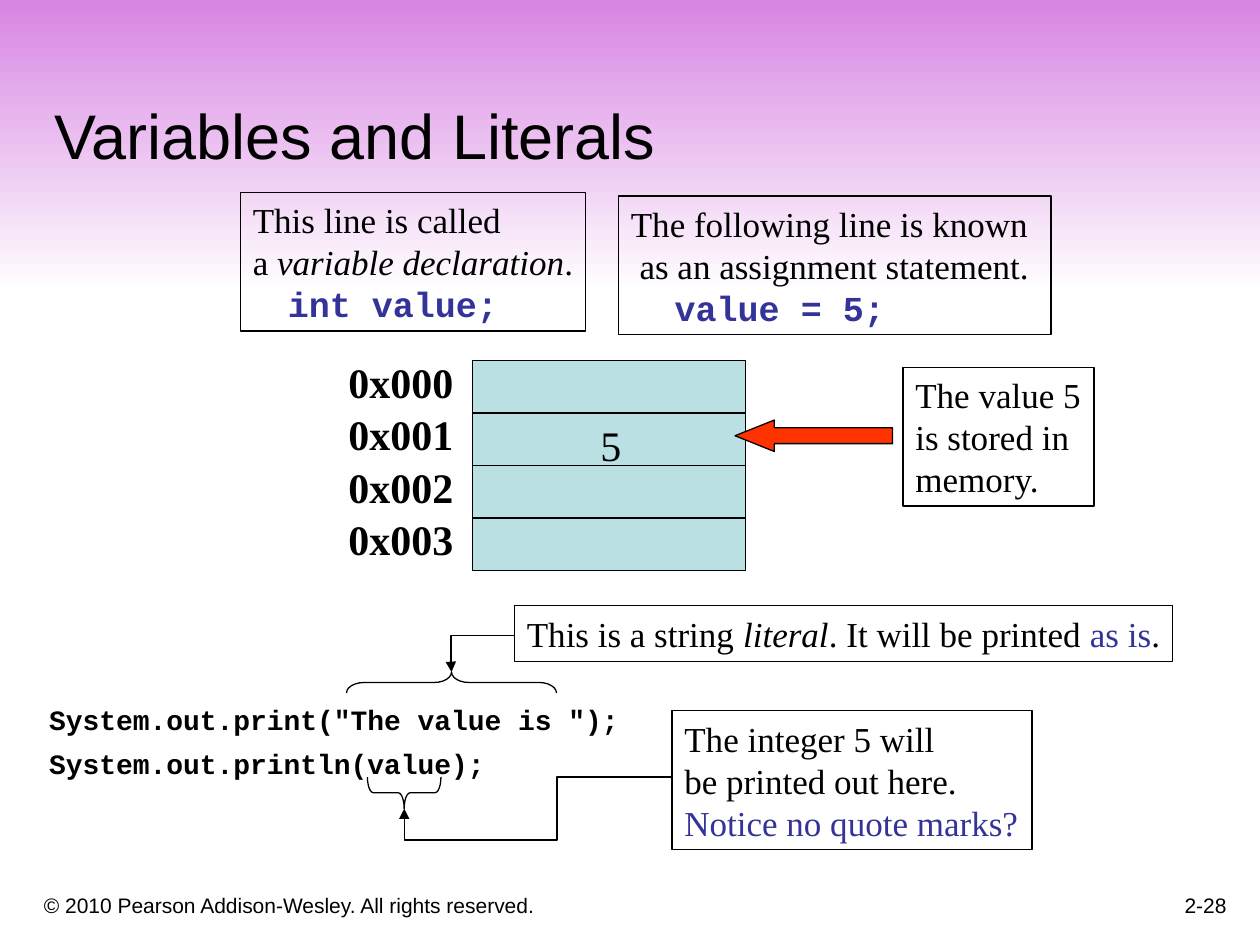
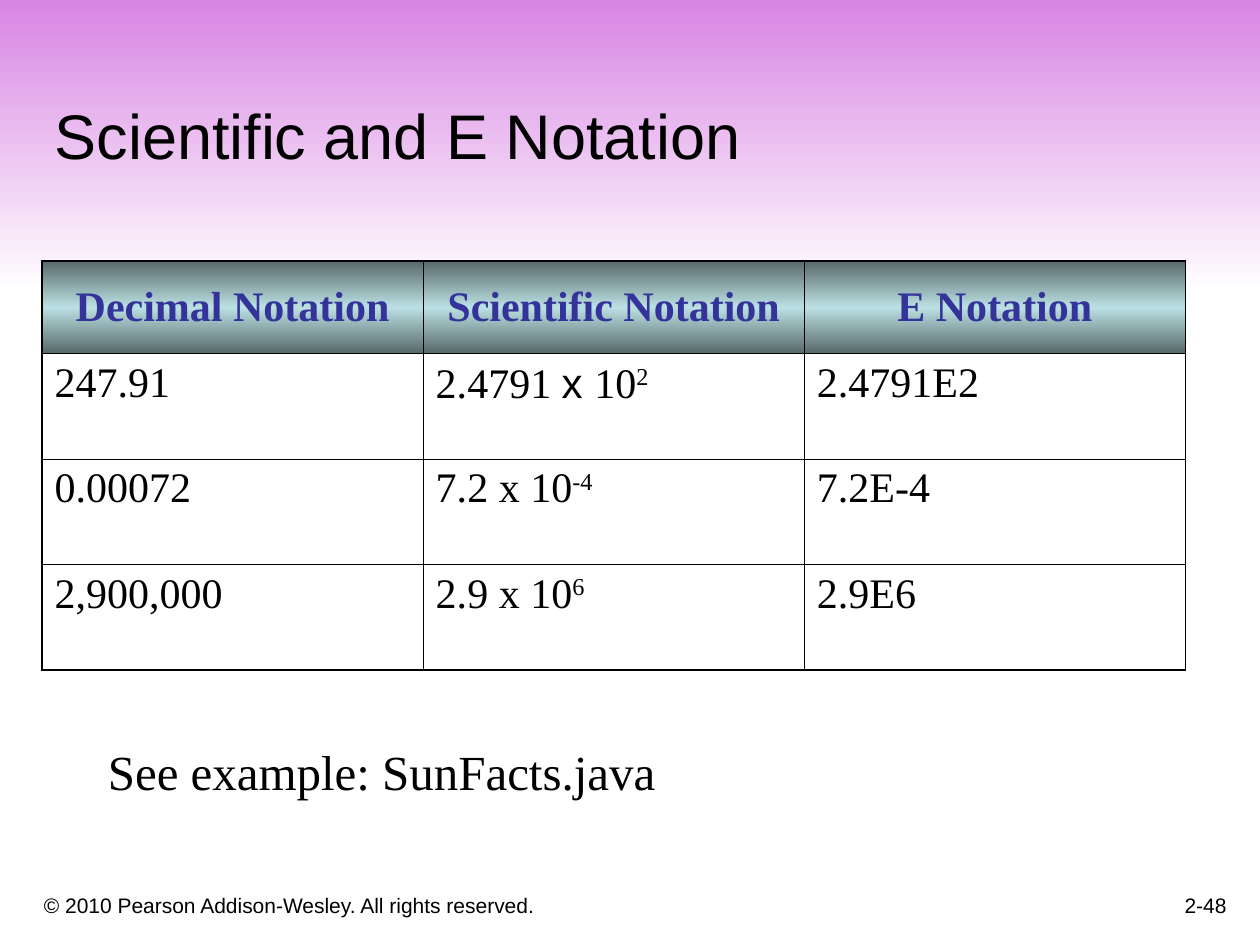
from dataclasses import dataclass

from lxml import etree
from pptx import Presentation
from pptx import util as u
from pptx.dml.color import RGBColor
from pptx.enum import shapes, text
from pptx.oxml.ns import qn


@dataclass(frozen=True)
class Theme:
    ink: str = "000000"
    accent: str = "333399"
    memory: str = "BBE0E3"
    memory_dark: str = "576869"
    arrow: str = "FF3300"
    band: str = "D885E3"
    paper: str = "FFFFFF"
    sans: str = "Arial"
    serif: str = "Times New Roman"
    mono: str = "Courier New"
    title: int = 36
    example: int = 28
    large: int = 24
    note: int = 20
    code: int = 16
    footer: int = 12
    thin: float = 0.45
    line: float = 0.75
    frame: float = 1.08


@dataclass(frozen=True)
class Line:
    """One paragraph: plain strings or (string, font changes) pairs."""
    runs: tuple
    indent: float = 0


THEME = Theme()
GRID_COLUMNS, GRID_ROWS = 120, 90
BLUE = {"color": THEME.accent}
BLUE_CODE = {"color": THEME.accent, "name": THEME.mono, "bold": True}
ITALIC = {"italic": True}
HEADING = {"color": THEME.accent, "bold": True}
RAISED = {"raised": True}
COPYRIGHT = "© 2010 Pearson Addison-Wesley. All rights reserved."


def set_font(font, name=None, size=None, color=None, bold=None, italic=None):
    if name:
        font.name = name
    if size:
        font.size = u.Pt(size)
    if color:
        font.color.rgb = RGBColor.from_string(color)
    if bold is not None:
        font.bold = bold
    if italic is not None:
        font.italic = italic


def set_gradient(fill, properties, colors):
    """Fill from top to bottom with evenly spaced colours."""
    fill.gradient()
    fill.gradient_angle = 270
    stops = properties.find(".//" + qn("a:gsLst"))
    for stop in list(stops):
        stops.remove(stop)
    for index, color in enumerate(colors):
        position = round(100000 * index / (len(colors) - 1))
        stop = etree.SubElement(stops, qn("a:gs"), pos=str(position))
        etree.SubElement(stop, qn("a:srgbClr"), val=color)


def set_borders(cell, widths):
    """Draw the left, right, top and bottom edges of a cell."""
    properties = cell._tc.get_or_add_tcPr()
    for index, (side, width) in enumerate(zip("LRTB", widths)):
        edge = etree.Element(qn("a:ln" + side), w=str(u.Pt(width)))
        solid = etree.SubElement(edge, qn("a:solidFill"))
        etree.SubElement(solid, qn("a:srgbClr"), val=THEME.ink)
        properties.insert(index, edge)


class Deck:
    def __init__(self, theme):
        self.theme = theme
        self.presentation = Presentation()
        self.presentation.slide_width = u.Inches(10)
        self.presentation.slide_height = u.Inches(7.5)
        self.slide = None

    def across(self, columns):
        return round(self.presentation.slide_width * columns / GRID_COLUMNS)

    def down(self, rows):
        return round(self.presentation.slide_height * rows / GRID_ROWS)

    def place(self, left, top, width, height):
        return (self.across(left), self.down(top),
                self.across(width), self.down(height))

    def new_slide(self, title, number):
        theme = self.theme
        layout = self.presentation.slide_layouts[5]
        self.slide = self.presentation.slides.add_slide(layout)
        band = self.shape(shapes.MSO_SHAPE.RECTANGLE, (0, 0, 120, 27.84))
        set_gradient(band.fill, band.element.spPr, (theme.band, theme.paper))
        band.line.fill.background()
        self.slide.shapes._spTree.insert(2, band.element)

        heading = self.slide.shapes.title
        heading.left, heading.top, heading.width, heading.height = self.place(
            4, 4, 113, 13)
        heading.text_frame.auto_size = text.MSO_AUTO_SIZE.NONE
        self.set_lines(heading.text_frame, [title], theme.title,
                       name=theme.sans, anchor=text.MSO_ANCHOR.BOTTOM)
        self.text_box((3, 83, 73, 5), [COPYRIGHT], theme.footer,
                      name=theme.sans, anchor=text.MSO_ANCHOR.BOTTOM)
        self.text_box((93, 82, 25, 6), [number], theme.footer,
                      name=theme.sans, align=text.PP_ALIGN.RIGHT,
                      anchor=text.MSO_ANCHOR.BOTTOM)

    def set_lines(self, frame, lines, size, name=None, bold=False,
                  align=text.PP_ALIGN.LEFT, anchor=text.MSO_ANCHOR.TOP):
        frame.word_wrap = True
        frame.vertical_anchor = anchor
        for index, line in enumerate(lines):
            paragraph = (frame.add_paragraph() if index
                         else frame.paragraphs[0])
            self.fill_paragraph(paragraph, line, size, name, bold, align)

    def fill_paragraph(self, paragraph, line, size, name=None, bold=False,
                       align=text.PP_ALIGN.LEFT):
        if isinstance(line, str):
            line = Line((line,))
        paragraph.alignment = align
        if line.indent:
            paragraph._p.get_or_add_pPr().set(
                "marL", str(self.across(line.indent)))
        set_font(paragraph.font, name or self.theme.serif, size,
                 self.theme.ink, bold)
        for part in line.runs:
            words, changes = (part, {}) if isinstance(part, str) else part
            run = paragraph.add_run()
            run.text = words
            if changes is RAISED:
                run.font._element.set("baseline", "30000")
            else:
                set_font(run.font, **changes)

    def text_box(self, box, lines, size, **options):
        shape = self.slide.shapes.add_textbox(*self.place(*box))
        self.set_lines(shape.text_frame, lines, size, **options)
        if options.get("align") != text.PP_ALIGN.RIGHT:
            shape.text_frame.margin_right = 0
        return shape

    def note(self, box, lines):
        """An outlined, unfilled text box."""
        shape = self.text_box(box, lines, self.theme.note)
        self.outline(shape.line)

    def outline(self, line):
        line.color.rgb = RGBColor.from_string(self.theme.ink)
        line.width = u.Pt(self.theme.line)

    def shape(self, kind, box, color=None, adjustments=(), rotation=0):
        shape = self.slide.shapes.add_shape(kind, *self.place(*box))
        shape.shadow.inherit = False
        shape.rotation = rotation
        for index, value in enumerate(adjustments):
            shape.adjustments[index] = value
        if color:
            shape.fill.solid()
            shape.fill.fore_color.rgb = RGBColor.from_string(color)
        else:
            shape.fill.background()
        self.outline(shape.line)
        return shape

    def elbow_arrow(self, start, end, bends):
        """Run leftwards from start, turning at the given shares."""
        connector = self.slide.shapes.add_connector(
            shapes.MSO_CONNECTOR.ELBOW, self.across(start[0]),
            self.down(start[1]), self.across(end[0]), self.down(end[1]))
        self.outline(connector.line)
        properties = connector.element.spPr
        transform = properties.find(qn("a:xfrm"))
        transform.attrib.clear()
        transform.set("rot", "10800000")
        transform.set("flipV", "1")
        geometry = properties.find(qn("a:prstGeom"))
        geometry.set("prst", f"bentConnector{len(bends) + 2}")
        guides = geometry.find(qn("a:avLst"))
        for index, share in enumerate(bends, 1):
            etree.SubElement(guides, qn("a:gd"), name=f"adj{index}",
                             fmla=f"val {round(share * 100000)}")
        etree.SubElement(properties.find(qn("a:ln")), qn("a:tailEnd"),
                         type="triangle")
        etree.SubElement(properties, qn("a:effectLst"))

    def table(self, box, rows, heights):
        theme = self.theme
        last_row, last_column = len(rows) - 1, len(rows[0]) - 1
        table = self.slide.shapes.add_table(
            len(rows), len(rows[0]), *self.place(*box)).table
        table.first_row = table.horz_banding = False
        for column in table.columns:
            column.width = self.across(box[2] / len(rows[0]))
        for row, height in zip(table.rows, heights):
            row.height = self.down(height)
        for r, values in enumerate(rows):
            for c, value in enumerate(values):
                cell = table.cell(r, c)
                paragraph = cell.text_frame.paragraphs[0]
                if r == 0:
                    cell.vertical_anchor = text.MSO_ANCHOR.MIDDLE
                    self.fill_paragraph(paragraph, Line(((value, HEADING),)),
                                        theme.large, bold=True,
                                        align=text.PP_ALIGN.CENTER)
                    set_gradient(
                        cell.fill, cell._tc.get_or_add_tcPr(),
                        (theme.memory_dark, theme.memory, theme.memory_dark))
                else:
                    self.fill_paragraph(paragraph, value, theme.large)
                    cell.fill.background()
                outer = (c == 0, c == last_column, r == 0, r == last_row)
                set_borders(cell, [theme.frame if edge else theme.thin
                                   for edge in outer])


def variables_slide(deck):
    theme = deck.theme
    deck.new_slide("Variables and Literals", "2-28")
    deck.note((22.9, 18.33, 32.9, 13.2), [
        "This line is called",
        Line(("a ", ("variable declaration", ITALIC), ".")),
        Line((("int value;", BLUE_CODE),), 3.33)])
    deck.note((58.9, 18.67, 41.2, 13.2), [
        "The following line is known",
        Line(("as an assignment statement.",), 0.83),
        Line((("value = 5;", BLUE_CODE),), 4.17)])

    code = deck.text_box((3.5, 66, 56.6, 8.3), [
        'System.out.print("The value is ");', "System.out.println(value);"],
        theme.code, name=theme.mono, bold=True)
    first, second = code.text_frame.paragraphs
    first.line_spacing = second.line_spacing = 0.9
    first.space_after = second.space_before = u.Pt(4)
    code.text_frame.margin_top = u.Pt(7.6)

    deck.elbow_arrow((49, 60.5), (43, 64), (1.01,))
    deck.note((49, 57.7, 62.7, 5.3), [
        Line(("This is a string ", ("literal", ITALIC),
              ". It will be printed ", ("as is", BLUE), "."))])
    brace = shapes.MSO_SHAPE.LEFT_BRACE
    deck.shape(brace, (42, 55, 2, 20), adjustments=(0.83, 0.5), rotation=90)
    deck.shape(brace, (37, 72, 3, 7), adjustments=(0.19, 0.5), rotation=270)
    deck.note((64, 67.7, 34.3, 13.2), [
        "The integer 5 will", "be printed out here.",
        Line((("Notice no quote marks?", BLUE),))])
    deck.elbow_arrow((64, 74), (38.5, 77), (0.43, 2))

    top, step = 34.33, 5
    for address in range(4):
        row = top + address * step
        deck.shape(shapes.MSO_SHAPE.RECTANGLE, (45, row, 26, step),
                   theme.memory)
        deck.text_box((32, row - 1, 12.4, 6), [f"0x{address:03}"],
                      theme.large, bold=True)
    deck.text_box((56, top + step, 4.4, 6), ["5"], theme.large)
    deck.note((86, 35, 18.2, 13.2), [
        "The value 5", "is stored in", "memory."])
    deck.shape(shapes.MSO_SHAPE.LEFT_ARROW, (70, 40, 15, 3), theme.arrow,
               adjustments=(0.5, 1.25))


def notation_slide(deck):
    deck.new_slide("Scientific and E Notation", "2-48")
    deck.table((4, 24.84, 108.9, 39), [
        ("Decimal Notation", "Scientific Notation", "E Notation"),
        ("247.91", Line(("2.4791 ", ("x ", {"name": deck.theme.sans}), "10",
                         ("2", RAISED))), "2.4791E2"),
        ("0.00072", Line(("7.2 x 10", ("-4", RAISED))), "7.2E-4"),
        ("2,900,000", Line(("2.9 x 10", ("6", RAISED))), "2.9E6"),
    ], (8.85, 10.05, 10.05, 10.05))
    deck.text_box((9.1, 70, 54.5, 6.8), ["See example: SunFacts.java"],
                  deck.theme.example)


def main():
    deck = Deck(THEME)
    variables_slide(deck)
    notation_slide(deck)
    deck.presentation.save("out.pptx")


if __name__ == "__main__":
    main()
